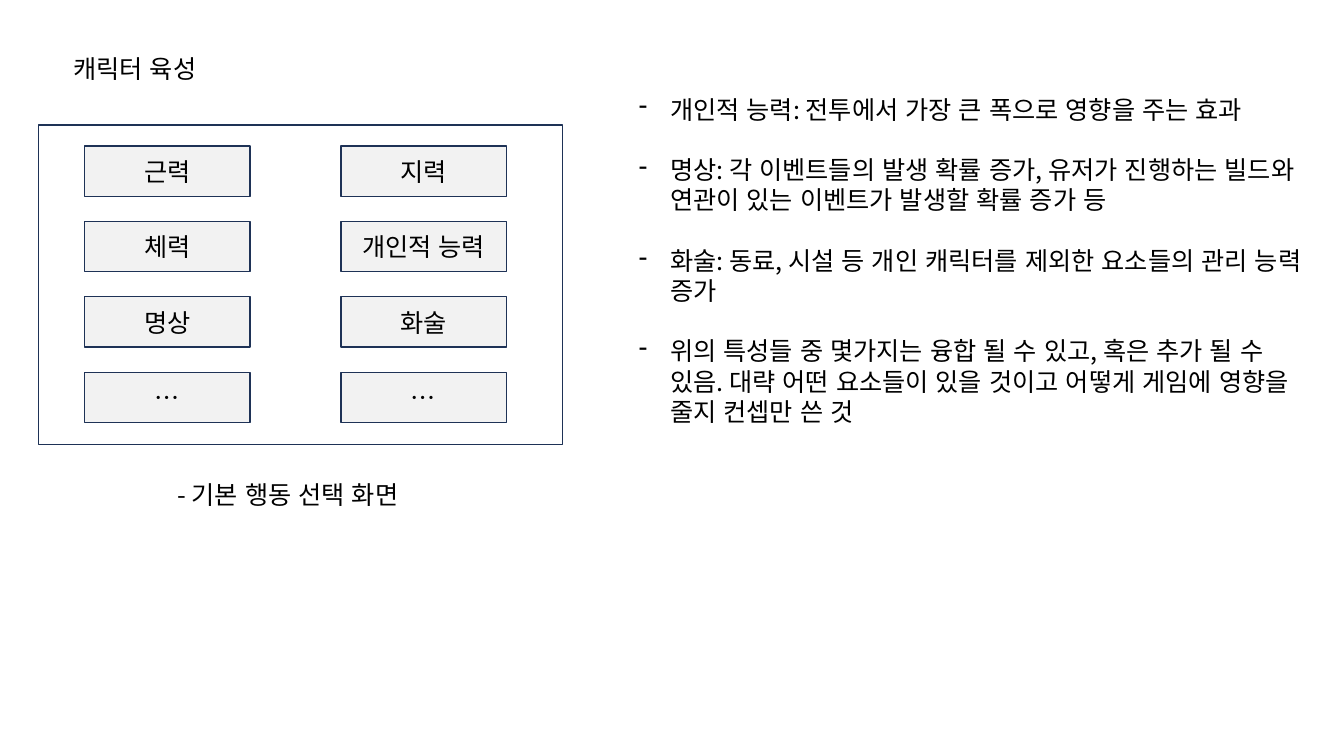
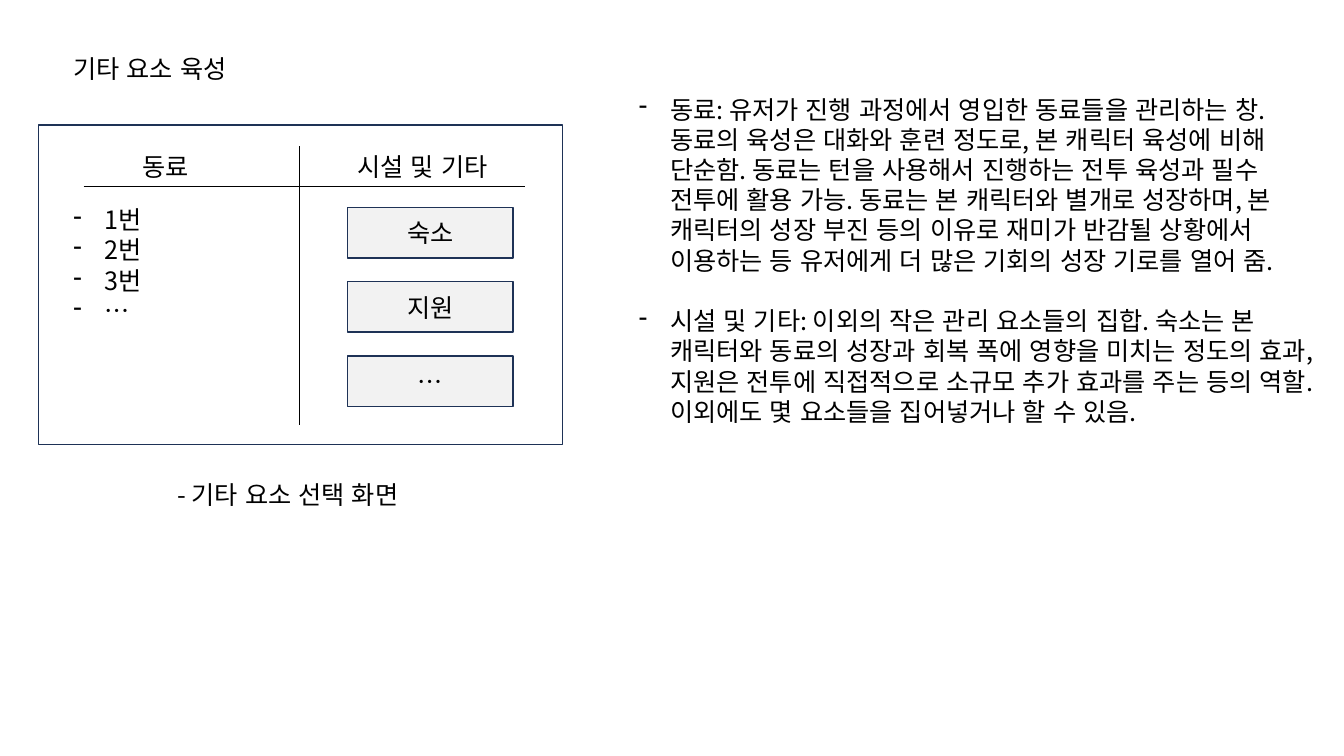
import pptx
import pptx.util
import pptx.dml.color
import pptx.enum.dml
import pptx.enum.lang
import pptx.enum.shapes
import pptx.enum.text
import pptx.oxml.ns
import lxml.etree
from dataclasses import dataclass

Cm = pptx.util.Cm
Pt = pptx.util.Pt
Align = pptx.enum.text.PP_ALIGN


@dataclass(frozen=True)
class Theme:
    font: str = "Noto Sans CJK KR"
    size: float = 18
    pitch: float = 21.6
    ink: str = "000000"
    paper: str = "FFFFFF"
    key: str = "F2F2F2"
    edge: str = "1E3256"
    rim: float = 1
    thin: float = 0.5


THEME = Theme()
KEY_W, KEY_H = 4.17, 1.27
ROW_H = 1.02


def color(code):
    return pptx.dml.color.RGBColor.from_string(code)


def add_tag(node, name, **attrs):
    return lxml.etree.SubElement(node, pptx.oxml.ns.qn(name), attrs)


# Text
def write(frame, text, align=Align.LEFT, bullet=None, gap=0):
    """Fill a text frame, one paragraph a line of text."""
    lines = text.split("\n")
    for i, line in enumerate(lines):
        para = frame.paragraphs[0] if i == 0 else frame.add_paragraph()
        para.alignment = align
        para.line_spacing = Pt(THEME.pitch)
        para.space_after = Pt(gap if i < len(lines) - 1 else 0)
        if bullet:
            props = para._p.get_or_add_pPr()
            props.set("marL", str(Cm(0.79)))
            props.set("indent", str(-Cm(0.79)))
            add_tag(props, "a:buChar", char=bullet)
        run = para.add_run()
        run.text = line
        font = run.font
        font.size = Pt(THEME.size)
        font.color.rgb = color(THEME.ink)
        font.name = THEME.font
        font.language_id = pptx.enum.lang.MSO_LANGUAGE_ID.KOREAN
        add_tag(run._r.get_or_add_rPr(), "a:ea", typeface=THEME.font)


def label(slide, text, left, top, width, height=ROW_H, wrap=False, **style):
    box = slide.shapes.add_textbox(Cm(left), Cm(top), Cm(width), Cm(height))
    frame = box.text_frame
    frame.word_wrap = wrap
    frame.auto_size = pptx.enum.text.MSO_AUTO_SIZE.SHAPE_TO_FIT_TEXT
    write(frame, text, **style)


# Boxes and rules
def panel(slide, left, top, width, height, fill, text=None):
    box = slide.shapes.add_shape(
        pptx.enum.shapes.MSO_SHAPE.RECTANGLE,
        Cm(left), Cm(top), Cm(width), Cm(height))
    box.shadow.inherit = False
    box.fill.solid()
    box.fill.fore_color.rgb = color(fill)
    box.line.color.rgb = color(THEME.edge)
    box.line.width = Pt(THEME.rim)
    if text:
        frame = box.text_frame
        frame.word_wrap = True
        frame.vertical_anchor = pptx.enum.text.MSO_ANCHOR.MIDDLE
        write(frame, text, align=Align.CENTER)


def keys(slide, names, left, top, step):
    """Stack a column of buttons at an even step."""
    for i, name in enumerate(names):
        panel(slide, left, top + i * step, KEY_W, KEY_H, THEME.key, name)


def rule(slide, x1, y1, x2, y2):
    line = slide.shapes.add_connector(
        pptx.enum.shapes.MSO_CONNECTOR.STRAIGHT, Cm(x1), Cm(y1), Cm(x2), Cm(y2))
    line.line.color.rgb = color(THEME.ink)
    line.line.width = Pt(THEME.thin)
    add_tag(line._element.spPr, "a:effectLst")


# Shared page: title, screen frame, caption and notes
def page(deck, title, width, caption, notes, height):
    slide = deck.slides.add_slide(deck.slide_layouts[6])
    label(slide, title, 1.6, 1.22, width)
    panel(slide, 0.97, 3.15, 13.21, 8.05, THEME.paper)
    label(slide, caption, 4.22, 11.96, 6.81)
    label(slide, "\n".join(notes), 15.85, 2.24, 17.58, height,
          wrap=True, bullet="-", gap=THEME.pitch)
    return slide


def hero(deck):
    slide = page(deck, "캐릭터 육성", 3.94, "- 기본 행동 선택 화면", [
        "개인적 능력: 전투에서 가장 큰 폭으로 영향을 주는 효과",
        "명상: 각 이벤트들의 발생 확률 증가, 유저가 진행하는 빌드와 연관이 있는 "
        "이벤트가 발생할 확률 증가 등",
        "화술: 동료, 시설 등 개인 캐릭터를 제외한 요소들의 관리 능력 증가",
        "위의 특성들 중 몇가지는 융합 될 수 있고, 혹은 추가 될 수 있음. 대략 어떤 "
        "요소들이 있을 것이고 어떻게 게임에 영향을 줄지 컨셉만 쓴 것",
    ], 8.71)
    keys(slide, ["근력", "체력", "명상", "…"], 2.13, 3.68, 1.9)
    keys(slide, ["지력", "개인적 능력", "화술", "…"], 8.59, 3.68, 1.9)


def other(deck):
    slide = page(deck, "기타 요소 육성", 4.83, "- 기타 요소 선택 화면", [
        "동료: 유저가 진행 과정에서 영입한 동료들을 관리하는 창. 동료의 육성은 대화와 "
        "훈련 정도로, 본 캐릭터 육성에 비해 단순함. 동료는 턴을 사용해서 진행하는 전투 "
        "육성과 필수 전투에 활용 가능. 동료는 본 캐릭터와 별개로 성장하며, 본 캐릭터의 "
        "성장 부진 등의 이유로 재미가 반감될 상황에서 이용하는 등 유저에게 더 많은 "
        "기회의 성장 기로를 열어 줌.",
        "시설 및 기타: 이외의 작은 관리 요소들의 집합. 숙소는 본 캐릭터와 동료의 성장과 "
        "회복 폭에 영향을 미치는 정도의 효과, 지원은 전투에 직접적으로 소규모 추가 "
        "효과를 주는 등의 역할. 이외에도 몇 요소들을 집어넣거나 할 수 있음.",
    ], 11.02)
    # Two columns under their heads
    rule(slide, 2.11, 4.7, 13.23, 4.7)
    rule(slide, 7.54, 3.68, 7.54, 10.72)
    label(slide, "동료", 3.35, 3.68, 1.8)
    label(slide, "시설 및 기타", 8.76, 3.68, KEY_W)
    label(slide, "1번\n2번\n3번\n…", 1.6, 5.03, 5.28, 3.33, wrap=True, bullet="-")
    keys(slide, ["숙소", "지원", "…"], 8.76, 5.23, 1.87)


def main():
    deck = pptx.Presentation()
    deck.slide_width, deck.slide_height = Cm(33.87), Cm(19.05)
    hero(deck)
    other(deck)
    deck.save("out.pptx")


if __name__ == "__main__":
    main()
